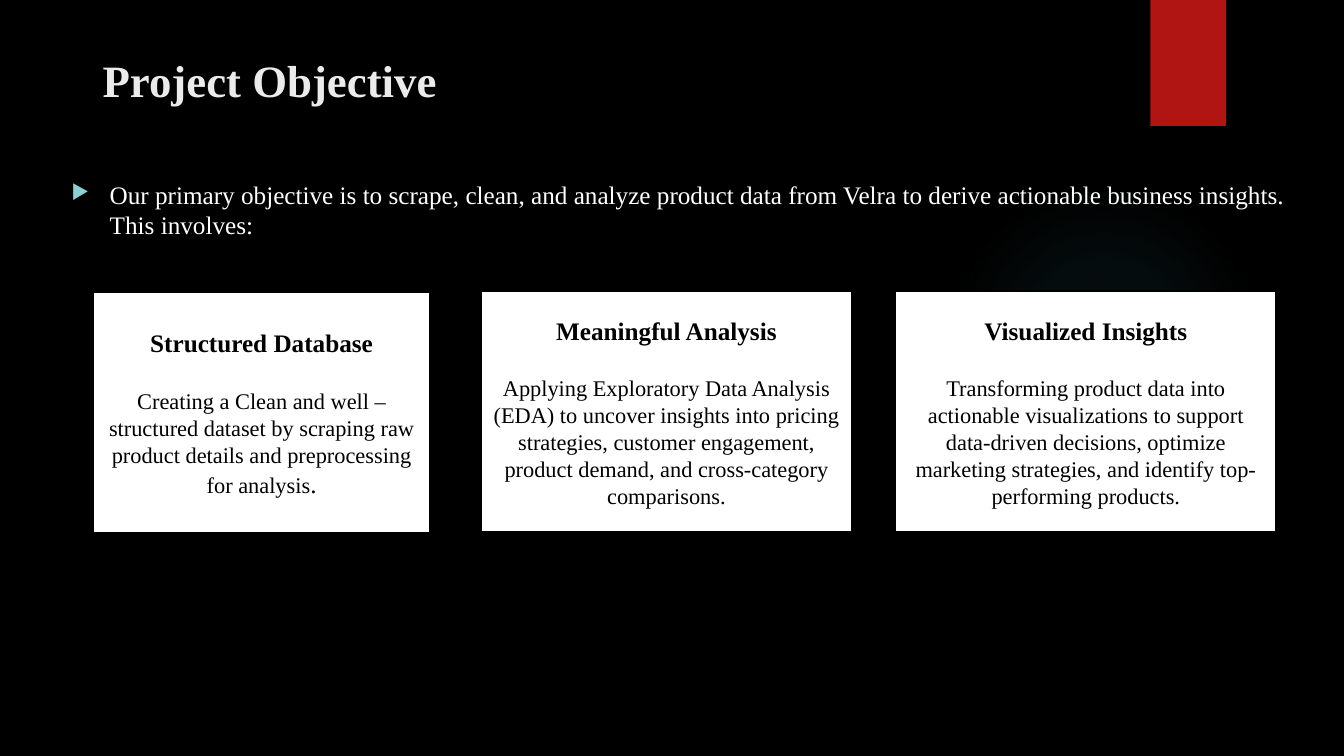
"""Build the Project Objective slide."""
from lxml.etree import SubElement
from pptx import Presentation
from pptx.dml.color import RGBColor
from pptx.enum.shapes import MSO_SHAPE
from pptx.enum.text import MSO_ANCHOR, PP_ALIGN
from pptx.oxml import parse_xml
from pptx.oxml.ns import nsdecls, qn
from pptx.util import Inches, Pt

TITLE = "Project Objective"
INTRO = ("Our primary objective is to scrape, clean, and analyze product data from "
         "Velra to derive actionable business insights. This involves:")
CARDS = [
    ("Structured Database", (0.92, 2.9, 3.35),
     "Creating a Clean and well –structured dataset by scraping raw product "
     "details and preprocessing for analysis", "."),
    ("Meaningful Analysis", (4.77, 2.89, 3.68),
     "Applying Exploratory Data Analysis (EDA) to uncover insights into pricing "
     "strategies, customer engagement, product demand, and cross-category comparisons.", ""),
    ("Visualized Insights", (8.88, 2.89, 3.78),
     "Transforming product data into actionable visualizations to support data-driven "
     "decisions, optimize marketing strategies, and identify top-performing products.", ""),
]
CARD_HIGH = 2.39
GLOW = [(0, 7), (36, 6), (69, 0), (100, 0)]
THEME = {
    "font": "Times New Roman", "black": "000000", "white": "FFFFFF", "title": "EBEBEB",
    "red": "B01513", "glow": "50B9C1", "bullet": "8AD0D6",
    "head": 32, "text": 18, "small": 16,
}


def color(name):
    return RGBColor.from_string(THEME[name])


def style(para, size, tint, bold=False):
    font = para.font
    font.name, font.size, font.bold = THEME["font"], Pt(THEME[size]), bold
    font.color.rgb = color(tint)


def add_box(slide, kind, box, fill):
    shape = slide.shapes.add_shape(kind, *map(Inches, box))
    shape.shadow.inherit = False
    shape.fill.solid()
    shape.fill.fore_color.rgb = color(fill)
    shape.line.fill.background()
    return shape


def add_text(slide, box, text, size, tint, bold=False):
    frame = slide.shapes.add_textbox(*map(Inches, box)).text_frame
    frame.word_wrap = True
    para = frame.paragraphs[0]
    para.text = text
    style(para, size, tint, bold)
    return para


def add_glow(slide, box):
    shape = add_box(slide, MSO_SHAPE.OVAL, box, "glow")
    stops = "".join(
        f'<a:gs pos="{pos * 1000}"><a:srgbClr val="{THEME["glow"]}">'
        f'<a:alpha val="{alpha * 1000}"/></a:srgbClr></a:gs>' for pos, alpha in GLOW)
    grad = parse_xml(
        f'<a:gradFill {nsdecls("a")} rotWithShape="1"><a:gsLst>{stops}</a:gsLst>'
        '<a:path path="circle"><a:fillToRect l="50000" t="50000" r="50000" b="50000"/>'
        '</a:path></a:gradFill>')
    props = shape.element.spPr
    props.replace(props.find(qn("a:solidFill")), grad)


def add_bullet(para):
    props = para._p.get_or_add_pPr()
    props.set("marL", str(Inches(0.38)))
    props.set("indent", str(-Inches(0.38)))
    tint = SubElement(props, qn("a:buClr"))
    SubElement(tint, qn("a:srgbClr"), val=THEME["bullet"])
    SubElement(props, qn("a:buSzPct"), val="80000")
    SubElement(props, qn("a:buChar"), char="▶")


def add_card(slide, head, place, body, end):
    card = add_box(slide, MSO_SHAPE.RECTANGLE, (*place, CARD_HIGH), "white")
    card.line.color.rgb = color("black")
    card.line.width = Pt(1.5)
    frame = card.text_frame
    frame.word_wrap = True
    frame.vertical_anchor = MSO_ANCHOR.MIDDLE
    top, main = frame.paragraphs[0], frame.add_paragraph()
    top.text, main.text = head, body
    style(top, "text", "black", True)
    style(main, "small", "black")
    top.space_after = Pt(21)
    for para in (top, main):
        para.alignment = PP_ALIGN.CENTER
    if end:
        run = main.add_run()
        run.text = end
        run.font.size = Pt(THEME["text"])


def main():
    deck = Presentation()
    deck.slide_width, deck.slide_height = Inches(13.33), Inches(7.5)
    slide = deck.slides.add_slide(deck.slide_layouts[6])
    back = slide.background.fill
    back.solid()
    back.fore_color.rgb = color("black")
    add_glow(slide, (9.41, 1.83, 3.08, 3.08))
    add_box(slide, MSO_SHAPE.RECTANGLE, (11.41, 0, 0.75, 1.25), "red")
    add_text(slide, (0.92, 0.47, 11.5, 1.45), TITLE, "head", "title", True)
    add_bullet(add_text(slide, (0.61, 1.73, 12.25, 4.73), INTRO, "text", "white"))
    for card in CARDS:
        add_card(slide, *card)
    deck.save("out.pptx")


if __name__ == "__main__":
    main()
